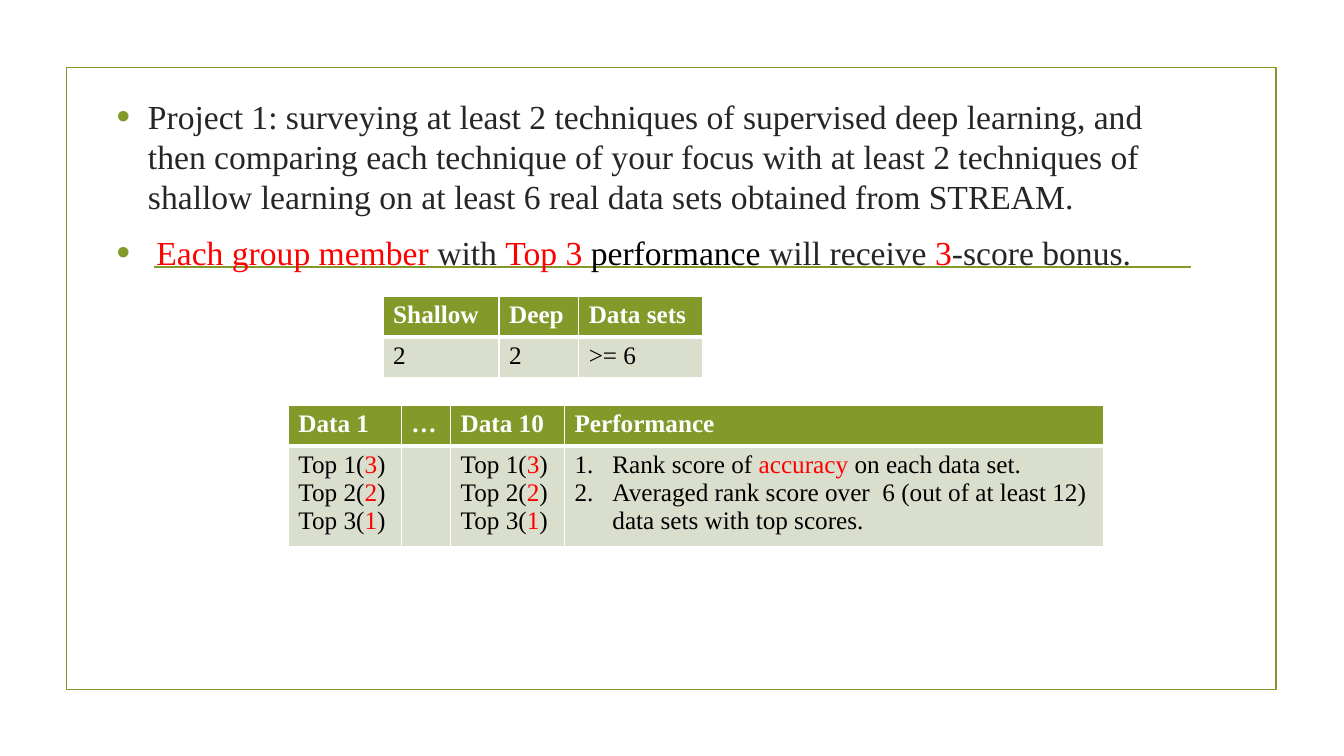
from dataclasses import dataclass

from lxml.etree import SubElement
from pptx import Presentation
from pptx.dml.color import RGBColor as RGB
from pptx.enum.shapes import MSO_CONNECTOR as CONNECTOR, MSO_SHAPE as SHAPE
from pptx.enum.text import MSO_ANCHOR as ANCHOR
from pptx.oxml.ns import qn
from pptx.util import Inches, Pt


@dataclass(frozen=True)
class Theme:
    font: str = "Times New Roman"
    body_size: int = 24
    table_size: int = 18
    line_width: float = 1.25
    green: str = "83992A"
    pale: str = "D9DECD"
    white: str = "FFFFFF"
    black: str = "000000"
    dark: str = "262626"
    red: str = "FF0000"


T = Theme()
GRID = Inches(0.1)  # side of one grid square; the slide is 133.3 by 75 squares


def grid(*lengths):
    return [round(n * GRID) for n in lengths]


def write_runs(p, runs, size, color, bold=False):
    """Fill a paragraph; a run is plain text or a (text, colour) pair."""
    for run in runs:
        text, tint = (run, color) if isinstance(run, str) else run
        r = p.add_run()
        r.text = text
        r.font.name, r.font.size, r.font.bold = T.font, Pt(size), bold
        r.font.color.rgb = RGB.from_string(tint)


def set_indent(p, squares):
    pPr = p._p.get_or_add_pPr()
    indent, = grid(squares)
    pPr.set("marL", str(indent))
    pPr.set("indent", str(-indent))
    return pPr


def add_bullet(p):
    pPr = set_indent(p, 3.1)
    SubElement(SubElement(pPr, qn("a:buClr")), qn("a:srgbClr"), val=T.green)
    SubElement(pPr, qn("a:buSzPct"), val="115000")
    SubElement(pPr, qn("a:buFont"), typeface="Arial")
    SubElement(pPr, qn("a:buChar"), char="•")


def add_number(p):
    pPr = set_indent(p, 3.75)
    SubElement(pPr, qn("a:buFont"), typeface="+mj-lt")
    SubElement(pPr, qn("a:buAutoNum"), type="arabicPeriod")


def add_frame(s, x, y, w, h):
    """Draw the border and the rule across it."""
    sp = s.shapes.add_shape(SHAPE.RECTANGLE, *grid(x, y, w, h))
    sp.shadow.inherit = False
    sp.fill.background()
    rule_y = y + 19.8
    rule = s.shapes.add_connector(
        CONNECTOR.STRAIGHT, *grid(x + 8.7, rule_y, x + w - 8.5, rule_y))
    SubElement(rule._element.spPr, qn("a:effectLst"))
    for outline in (sp.line, rule.line):
        outline.color.rgb = RGB.from_string(T.green)
        outline.width = Pt(T.line_width)


def add_body(s, x, y, w, h, paragraphs):
    tf = s.shapes.add_textbox(*grid(x, y, w, h)).text_frame
    tf.word_wrap = True
    tf.vertical_anchor = ANCHOR.TOP
    for i, runs in enumerate(paragraphs):
        p = tf.paragraphs[0] if i == 0 else tf.add_paragraph()
        p.line_spacing = 1.0
        p.space_before, p.space_after = Pt(4.8), Pt(6)
        add_bullet(p)
        write_runs(p, runs, T.body_size, T.dark)


def style_cell(cell, fill, bottom):
    """Give a cell white borders, the lower one as wide as asked, and a fill."""
    tcPr = cell._tc.get_or_add_tcPr()
    for side, width in (("L", 1), ("R", 1), ("T", 1), ("B", bottom)):
        ln = SubElement(tcPr, qn(f"a:ln{side}"), w=str(Pt(width)))
        SubElement(SubElement(ln, qn("a:solidFill")), qn("a:srgbClr"), val=T.white)
    cell.fill.solid()
    cell.fill.fore_color.rgb = RGB.from_string(fill)


def add_grid_table(s, x, y, widths, headers, cells, numbered=()):
    """Add a header row over one row of cells, each a list of paragraphs."""
    row_height = 4.05
    table = s.shapes.add_table(
        2, len(widths), *grid(x, y, sum(widths), 2 * row_height)).table
    for col, width in zip(table.columns, grid(*widths)):
        col.width = width
    for c, (header, paragraphs) in enumerate(zip(headers, cells)):
        top, cell = table.cell(0, c), table.cell(1, c)
        style_cell(top, T.green, bottom=3)
        style_cell(cell, T.pale, bottom=1)
        write_runs(top.text_frame.paragraphs[0], [header], T.table_size, T.white, True)
        tf = cell.text_frame
        for i, runs in enumerate(paragraphs):
            p = tf.paragraphs[0] if i == 0 else tf.add_paragraph()
            if c in numbered:
                add_number(p)
            write_runs(p, runs, T.table_size, T.black)


def add_project_slide(prs):
    s = prs.slides.add_slide(prs.slide_layouts[6])
    add_frame(s, 6.6, 6.7, 120, 61.7)
    add_body(s, 10.6, 9, 110.3, 17.4, [
        ["Project 1: surveying at least 2 techniques of supervised deep learning, "
         "and then comparing each technique of your focus with at least 2 techniques "
         "of shallow learning on at least 6 real data sets obtained from STREAM."],
        [" ", ("Each group member ", T.red), "with ", ("Top 3", T.red),
         (" performance ", T.black), "will receive ", ("3", T.red), "-score bonus."],
    ])
    add_grid_table(s, 38, 29.4, [11.5, 7.9, 12.3],
                   ["Shallow", "Deep", "Data sets"], [[["2"]], [["2"]], [[">= 6"]]])
    scores = [[f"Top {rank}(", (str(4 - rank), T.red), ")"] for rank in (1, 2, 3)]
    performance = [
        ["Rank score of ", ("accuracy ", T.red), "on each data set."],
        ["Averaged rank score over  6 (out of at least 12) data sets with top scores."],
    ]
    add_grid_table(s, 28.6, 40.2, [11.2, 4.9, 11.3, 53.5],
                   ["Data 1", "…", "Data 10", "Performance"],
                   [scores, [], scores, performance], numbered=[3])


def main():
    prs = Presentation()
    prs.slide_width, prs.slide_height = Inches(13.33), Inches(7.5)
    add_project_slide(prs)
    prs.save("out.pptx")


if __name__ == "__main__":
    main()
